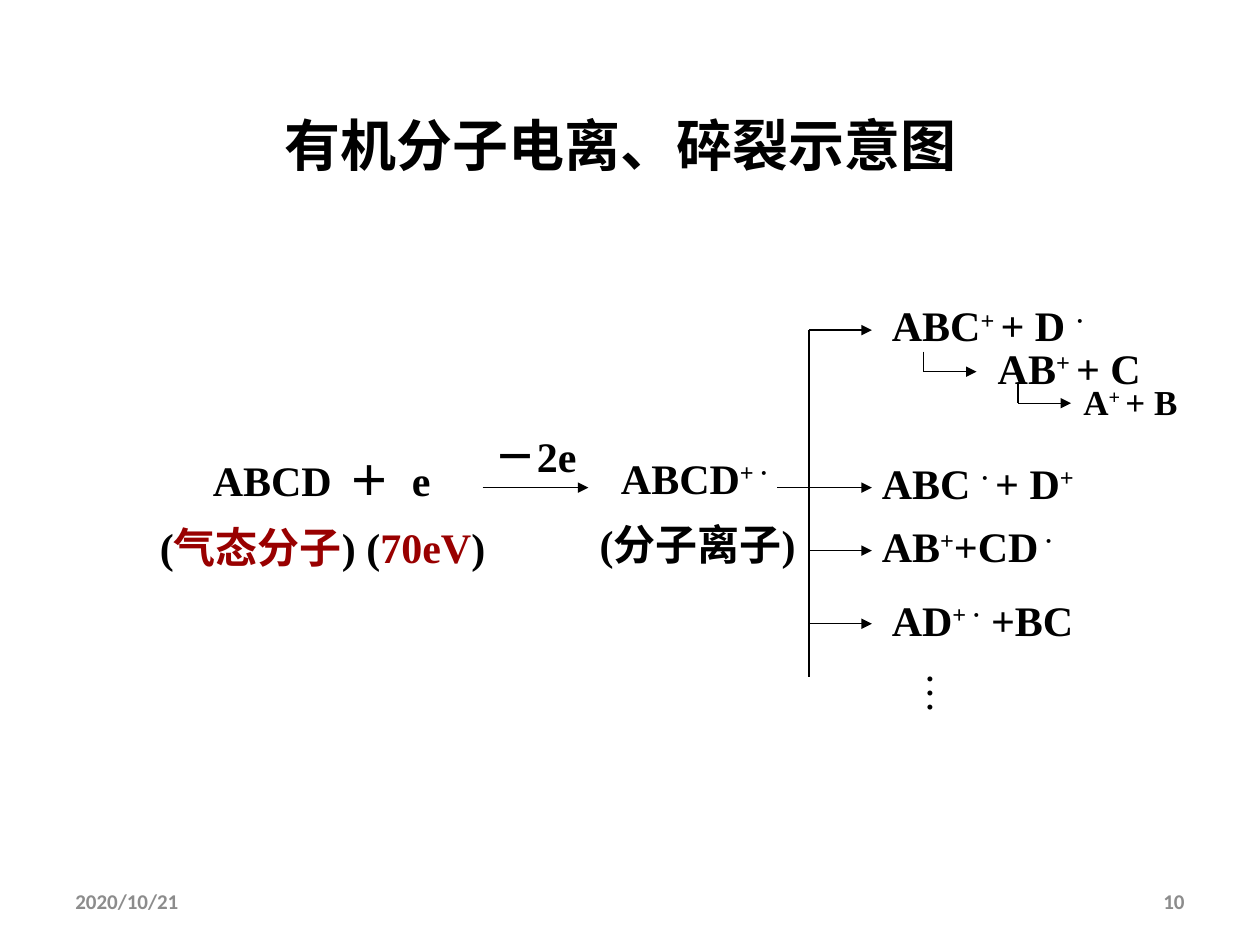
import pptx
import pptx.dml.color
import pptx.enum.shapes
import pptx.enum.text
import pptx.oxml
import pptx.oxml.ns
import pptx.util

Inches, Pt = pptx.util.Inches, pptx.util.Pt
ALIGN = pptx.enum.text.PP_ALIGN
MIDDLE = pptx.enum.text.MSO_ANCHOR.MIDDLE
COLORS = {"ink": "000000", "accent": "990000", "footer": "8C8C8C"}
SERIF, SANS, CJK = "Times New Roman", "Calibri", "Noto Sans CJK SC"
WIDTH, HEIGHT = 10, 7.5

# A run is (text, style); style is "", "sup" or "accent".
TITLE = "有机分子电离、碎裂示意图"
FOOTERS = [("2020/10/21", 0.05, ALIGN.LEFT), ("10", 0.717, ALIGN.RIGHT)]

# Reaction steps: box, then paragraphs as (first-line indent, tab stops, runs)
STEPS = [
    ((1.17, 3.5, 2.88, 1.1), [
        (0.42, (1.5, 2.14), [("ABCD\t＋\te", "")]),
        (0, (), [("(", ""), ("气态分子", "accent"), (") (", ""),
                 ("70eV", "accent"), (")", "")]),
    ]),
    ((3.83, 3.31, 0.85, 0.56), [(0, (), [("－2e", "")])]),
    ((4.58, 3.48, 1.85, 1.1), [
        (0.25, (), [("ABCD", ""), ("+ ·", "sup")]),
        (0.08, (), [("(分子离子)", "")]),
    ]),
]

# Fragments: box, size, runs
FRAGMENTS = [
    ((6.98, 2.33, 1.74, 0.5), 24,
     [("ABC", ""), ("+ ", "sup"), ("+ D ", ""), ("·", "sup")]),
    ((7.82, 2.67, 1.36, 0.5), 24, [("AB", ""), ("+ ", "sup"), ("+ C", "")]),
    ((8.5, 2.97, 0.96, 0.43), 20, [("A", ""), ("+ ", "sup"), ("+ B", "")]),
    ((6.9, 3.58, 1.74, 0.5), 24,
     [("ABC ", ""), ("· ", "sup"), ("+ D", ""), ("+", "sup")]),
    ((6.9, 4.08, 1.57, 0.5), 24,
     [("AB", ""), ("+", "sup"), ("+CD", ""), (" ·", "sup")]),
    ((6.98, 4.67, 1.66, 0.5), 24,
     [("AD", ""), ("+ ·", "sup"), (" +BC", "")]),
]
MORE_BOX = (7.15, 5.24, 0.6, 0.43)

AXIS = 3.87                       # height of the main reaction line
TRUNK, TRUNK_END = 6.42, 5.37
BRANCH_LENGTH = 0.5
BRANCHES = [2.62, AXIS, 4.37, 4.95]
HOOKS = [(7.33, 2.79), (8.08, 3.04)]  # start of each secondary split
HOOK_DROP, HOOK_LENGTH = 0.16, 0.42


def add_run(paragraph, text, style="", size=24, face=SERIF, bold=True, color="ink"):
    run = paragraph.add_run()
    run.text = text
    font = run.font
    font.name, font.size, font.bold = face, Pt(size), bold
    font.color.rgb = pptx.dml.color.RGBColor.from_string(
        COLORS["accent" if style == "accent" else color])
    properties = run._r.get_or_add_rPr()
    if style == "sup":
        properties.set("baseline", "30000")
    if any(ord(letter) > 0x2E00 for letter in text):
        east_asian = pptx.oxml.parse_xml(
            f'<a:ea {pptx.oxml.ns.nsdecls("a")} typeface="{CJK}"/>')
        properties.find(pptx.oxml.ns.qn("a:latin")).addnext(east_asian)


def add_box(slide, box, wrap=False):
    frame = slide.shapes.add_textbox(*map(Inches, box)).text_frame
    frame.word_wrap = wrap
    return frame


def indent_first_line(paragraph, indent, tabs):
    properties = paragraph._p.get_or_add_pPr()
    properties.set("marL", "0")
    properties.set("indent", str(Inches(indent)))
    if tabs:
        stops = "".join(f'<a:tab pos="{Inches(tab)}" algn="l"/>' for tab in tabs)
        properties.append(pptx.oxml.parse_xml(
            f'<a:tabLst {pptx.oxml.ns.nsdecls("a")}>{stops}</a:tabLst>'))


def add_line(slide, x1, y1, x2, y2, arrow=False):
    line = slide.shapes.add_connector(
        pptx.enum.shapes.MSO_CONNECTOR.STRAIGHT, *map(Inches, (x1, y1, x2, y2)))
    line.line.color.rgb = pptx.dml.color.RGBColor.from_string(COLORS["ink"])
    line.line.width = Pt(0.75)
    namespace = pptx.oxml.ns.nsdecls("a")
    if arrow:
        line.line._get_or_add_ln().append(
            pptx.oxml.parse_xml(f'<a:tailEnd {namespace} type="triangle"/>'))
    line._element.spPr.append(pptx.oxml.parse_xml(f"<a:effectLst {namespace}/>"))


def add_title(slide):
    title = slide.shapes.title
    title.left, title.top, title.width, title.height = map(
        Inches, (0.68, 0.68, 8.5, 0.92))
    title.text_frame.vertical_anchor = MIDDLE
    heading = title.text_frame.paragraphs[0]
    heading.alignment = ALIGN.CENTER
    add_run(heading, TITLE, size=32, face=CJK)


def add_footers(slide):
    for text, share, alignment in FOOTERS:
        frame = add_box(slide, (share * WIDTH, 6.95, 2.33, 0.4), wrap=True)
        frame.vertical_anchor = MIDDLE
        frame.paragraphs[0].alignment = alignment
        add_run(frame.paragraphs[0], text, size=12, face=SANS, color="footer")


def add_formulas(slide):
    for box, paragraphs in STEPS:
        frame = add_box(slide, box, wrap=True)
        for number, (indent, tabs, runs) in enumerate(paragraphs):
            paragraph = frame.add_paragraph() if number else frame.paragraphs[0]
            paragraph.line_spacing = 1.15
            if number:
                paragraph.space_before = Pt(5)
            indent_first_line(paragraph, indent, tabs)
            for text, style in runs:
                add_run(paragraph, text, style)
    for box, size, runs in FRAGMENTS:
        paragraph = add_box(slide, box).paragraphs[0]
        for text, style in runs:
            add_run(paragraph, text, style, size)
    more = add_box(slide, MORE_BOX)
    more._txBody.bodyPr.set("vert", "eaVert")
    add_run(more.paragraphs[0], "…", bold=False)


def add_arrows(slide):
    add_line(slide, 3.83, AXIS, 4.67, AXIS, arrow=True)
    add_line(slide, 6.17, AXIS, TRUNK, AXIS)
    add_line(slide, TRUNK, BRANCHES[0], TRUNK, TRUNK_END)
    for y in BRANCHES:
        add_line(slide, TRUNK, y, TRUNK + BRANCH_LENGTH, y, arrow=True)
    for x, y in HOOKS:
        add_line(slide, x, y, x, y + HOOK_DROP)
        add_line(slide, x, y + HOOK_DROP, x + HOOK_LENGTH, y + HOOK_DROP, arrow=True)


def main():
    deck = pptx.Presentation()
    deck.slide_width, deck.slide_height = Inches(WIDTH), Inches(HEIGHT)
    slide = deck.slides.add_slide(deck.slide_layouts.get_by_name("Title Only"))
    add_title(slide)
    add_footers(slide)
    add_formulas(slide)
    add_arrows(slide)
    deck.save("out.pptx")


if __name__ == "__main__":
    main()
